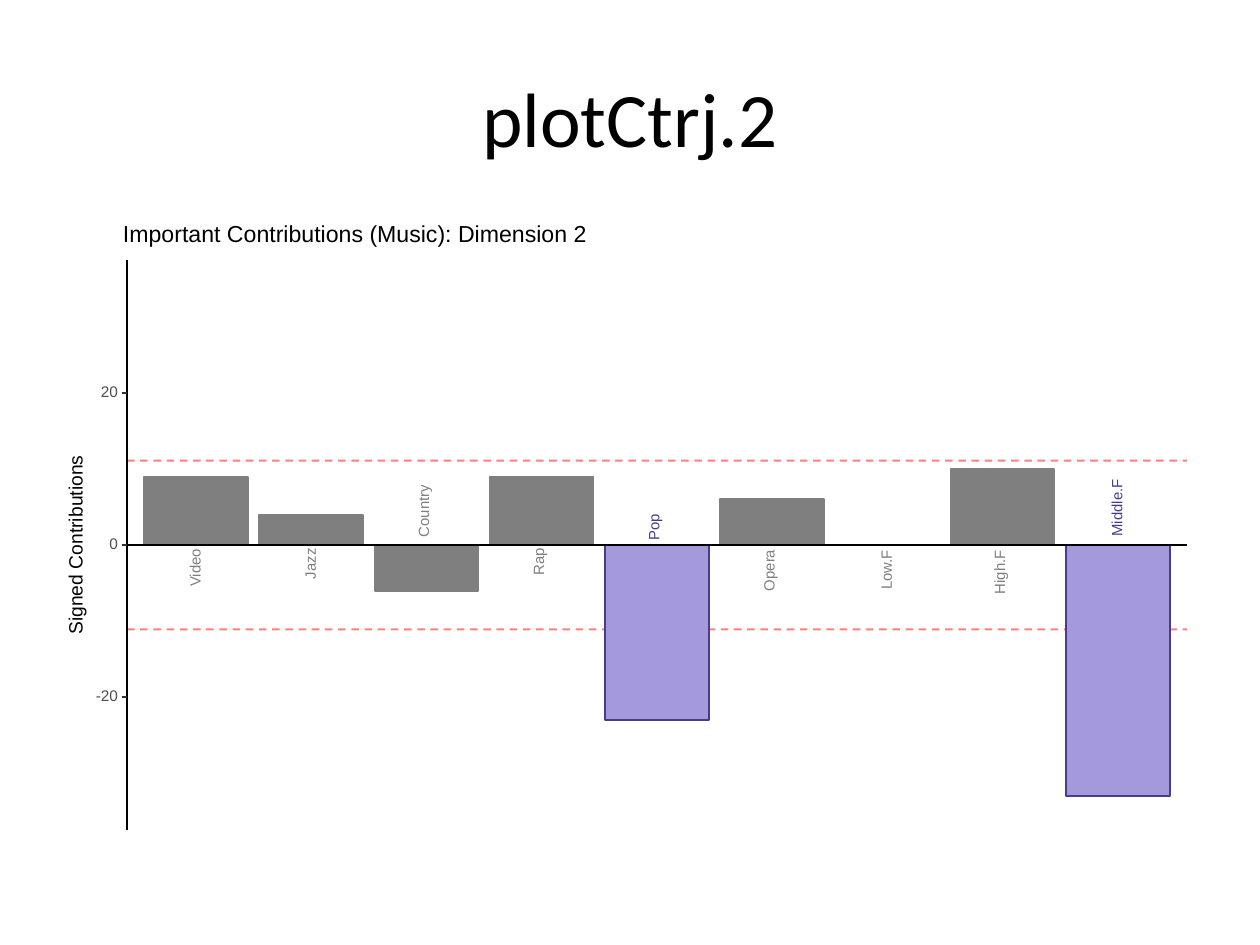
import pptx
import pptx.util
import pptx.dml.color
import pptx.enum.dml
import pptx.enum.shapes
import pptx.enum.text
import pptx.oxml.ns
from lxml import etree

PX = 914400 / 126
COLORS = {
    "white": "FFFFFF", "black": "000000", "gray": "7F7F7F", "violet": "A499DA",
    "indigo": "483D8B", "red": "FF0000", "tick": "333333", "tick_label": "4D4D4D",
}
ALIGN = pptx.enum.text.PP_ALIGN
LINE_WIDTH = 1.07
THRESHOLD = 11.1
# Name, signed contribution, length of the label in px
CONTRIBUTIONS = [
    ("Video", 9, 40), ("Jazz", 4, 33), ("Country", -6, 55),
    ("Rap", 9, 29), ("Pop", -23, 28), ("Opera", 6, 44),
    ("Low.F", 0, 43), ("High.F", 10, 47), ("Middle.F", -33, 60),
]


def emu(*lengths):
    return [round(length * PX) for length in lengths]


def rgb(name):
    return pptx.dml.color.RGBColor.from_string(COLORS[name])


def add_text(page, text, left, top, width, height, size, color="black",
             font="Arial", align=ALIGN.LEFT, rotation=0):
    box = page.shapes.add_textbox(*emu(left, top, width, height))
    box.rotation = rotation
    frame = box.text_frame
    frame.word_wrap = False
    frame.vertical_anchor = pptx.enum.text.MSO_ANCHOR.MIDDLE
    frame.margin_left = frame.margin_right = 0
    frame.margin_top = frame.margin_bottom = 0
    para = frame.paragraphs[0]
    para.text = text
    para.alignment = align
    para.line_spacing = pptx.util.Pt(size)
    para.font.size = pptx.util.Pt(size)
    para.font.name = font
    para.font.color.rgb = rgb(color)
    return box


def add_upright(page, text, center_x, center_y, length, height, size, color):
    add_text(page, text, center_x - length / 2, center_y - height / 2,
             length, height, size, color, align=ALIGN.CENTER, rotation=270)


def add_rect(page, left, top, width, height, fill, outline):
    rect = page.shapes.add_shape(pptx.enum.shapes.MSO_SHAPE.RECTANGLE,
                                 *emu(left, top, width, height))
    rect.shadow.inherit = False
    rect.fill.solid()
    rect.fill.fore_color.rgb = rgb(fill)
    rect.line.color.rgb = rgb(outline)
    rect.line.width = pptx.util.Pt(LINE_WIDTH)


def add_line(page, x1, y1, x2, y2, color, width=LINE_WIDTH):
    line = page.shapes.add_connector(pptx.enum.shapes.MSO_CONNECTOR.STRAIGHT,
                                     *emu(x1, y1, x2, y2))
    line.line.color.rgb = rgb(color)
    line.line.width = pptx.util.Pt(width)
    etree.SubElement(line._element.spPr, pptx.oxml.ns.qn("a:effectLst"))
    return line


def add_threshold(page, x1, x2, y):
    line = add_line(page, x1, y, x2, y, "red")
    line.line.dash_style = pptx.enum.dml.MSO_LINE.DASH
    # Half transparent
    tint = line._element.spPr.find(".//" + pptx.oxml.ns.qn("a:srgbClr"))
    etree.SubElement(tint, pptx.oxml.ns.qn("a:alpha"), val="50000")


def build_title(page, left, top, width, height):
    box = add_text(page, "plotCtrj.2", left, top, width, height, 44,
                   font="Calibri", align=ALIGN.CENTER)
    box.text_frame.word_wrap = True
    box.text_frame.paragraphs[0].line_spacing = 1.0


def build_plot(page, left, top, width, height):
    add_rect(page, left, top, width, height, "white", "white")
    axis_left, axis_right = left + 64, left + width - 10
    axis_top, axis_bottom = top + 40, top + 610
    zero = (axis_top + axis_bottom) / 2
    unit = 7.6
    # Bars are 0.9 of a step wide, with 0.6 of a step beyond the outer centres
    step = (axis_right - axis_left) / (len(CONTRIBUTIONS) + 0.2)
    bar_width = 0.9 * step
    centers = [axis_left + (0.6 + i) * step for i in range(len(CONTRIBUTIONS))]

    # Importance thresholds
    for value in (THRESHOLD, -THRESHOLD):
        add_threshold(page, axis_left, axis_right, zero - value * unit)

    # Bars
    for center, (name, value, length) in zip(centers, CONTRIBUTIONS):
        important = abs(value) > THRESHOLD
        add_rect(page, center - bar_width / 2, zero - max(value, 0) * unit,
                 bar_width, abs(value) * unit,
                 "violet" if important else "gray",
                 "indigo" if important else "gray")

    # Labels, on the other side of the axis from their bars
    for center, (name, value, length) in zip(centers, CONTRIBUTIONS):
        descends = any(letter in "gpy" for letter in name)
        side = 1 if value >= 0 else -1
        add_upright(page, name, center - (2 if descends else 0),
                    zero - 1 + side * 0.6 * length, length,
                    15 if descends else 11, 8.5,
                    "indigo" if abs(value) > THRESHOLD else "gray")

    # Axes and ticks
    add_line(page, axis_left, zero, axis_right, zero, "black")
    add_line(page, axis_left, axis_bottom, axis_left, axis_top, "black", 0.75)
    for value, label_width in ((-20, 23), (0, 9), (20, 18)):
        y = zero - value * unit
        add_text(page, str(value), axis_left - 9 - label_width, y - 6,
                 label_width, 12, 8.8, "tick_label", align=ALIGN.RIGHT)
        add_line(page, axis_left - 5, y, axis_left, y, "tick")

    # Axis title and plot title, in boxes with room for one line
    add_upright(page, "Signed Contributions", left + 14, zero, 190, 18, 11, "black")
    add_text(page, "Important Contributions (Music): Dimension 2",
             axis_left - 4, top + 5, 476, 21, 13.2)


def main():
    deck = pptx.Presentation()
    deck.slide_width, deck.slide_height = emu(1260, 945)
    page = deck.slides.add_slide(deck.slide_layouts[6])
    build_title(page, 63, 38, 1134, 157)
    build_plot(page, 63, 220, 1134, 624)
    deck.save("out.pptx")


if __name__ == "__main__":
    main()
